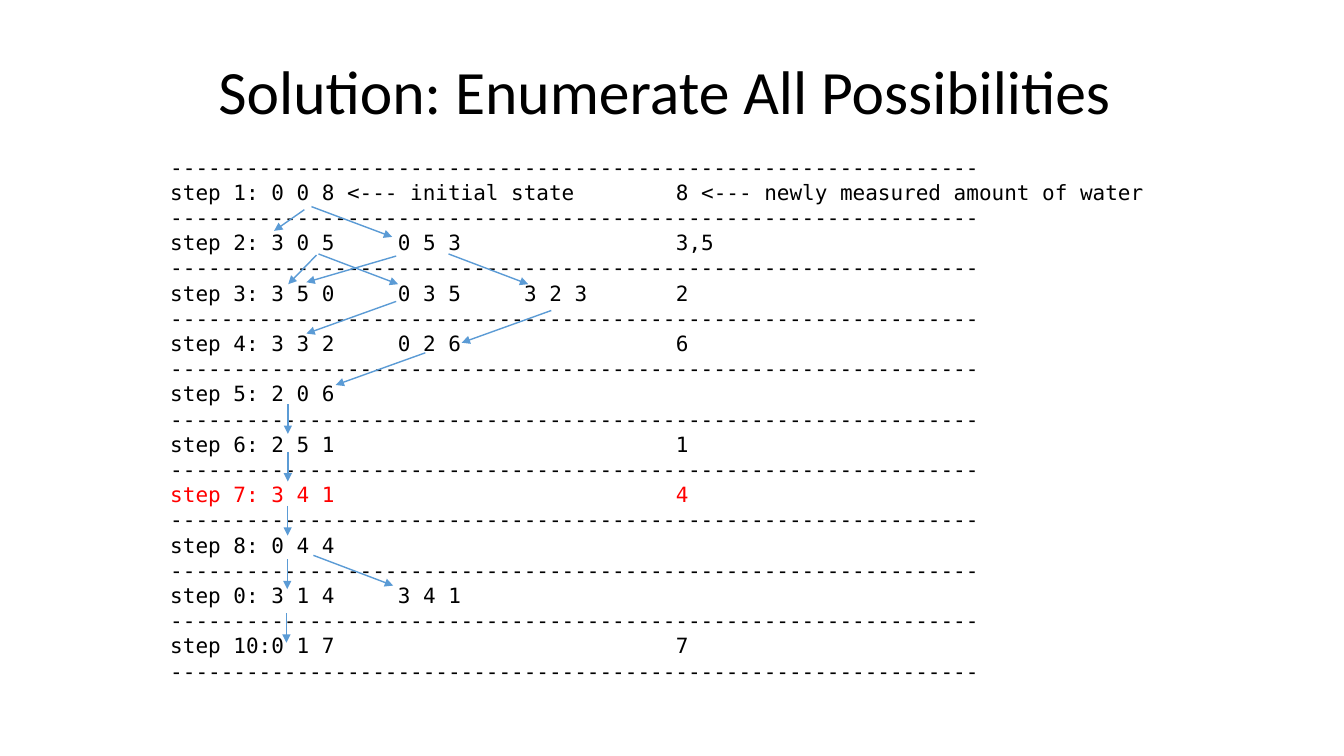
from lxml import etree
from pptx import Presentation
from pptx.dml.color import RGBColor
from pptx.enum.shapes import MSO_CONNECTOR
from pptx.enum.text import MSO_ANCHOR, PP_ALIGN
from pptx.oxml.ns import qn
from pptx.util import Pt

STRAIGHT = MSO_CONNECTOR.STRAIGHT
MIDDLE = MSO_ANCHOR.MIDDLE
CENTER = PP_ALIGN.CENTER
BLACK = RGBColor(0x00, 0x00, 0x00)
RED = RGBColor(0xFF, 0x00, 0x00)
BLUE = RGBColor(0x5B, 0x9B, 0xD5)

RULE = "-" * 64
CHAR_WIDTH = 9.03
TAB_COLUMNS = (18, 28, 40)
SOLVED = "step 7"
STEPS = [
    "step 1: 0 0 8 <--- initial state\t8 <--- newly measured amount of water",
    "step 2: 3 0 5\t0 5 3\t\t3,5",
    "step 3: 3 5 0\t0 3 5\t3 2 3\t2",
    "step 4: 3 3 2\t0 2 6\t\t6",
    "step 5: 2 0 6",
    "step 6: 2 5 1\t\t\t1",
    "step 7: 3 4 1\t\t\t4",
    "step 8: 0 4 4",
    "step 0: 3 1 4\t3 4 1",
    "step 10:0 1 7\t\t\t7",
]
ARROWS = [
    (226.1, 182.2, 205.9, 203),
    (227.5, 181.4, 284.4, 203),
    (320.4, 181.4, 377.3, 203),
    (283, 182.9, 218.9, 201.6),
    (283, 215.3, 218.9, 238.3),
    (393.8, 221.8, 329.8, 244.8),
    (303.8, 252, 239.8, 275),
    (222.5, 147.6, 280.1, 169.2),
    (217.4, 149.8, 195.8, 164.9),
    (223.9, 396.7, 280.8, 418.3),
]
DOWN_LENGTH = 21.2
DOWN_ARROWS = [(205.6, 288.7), (205.6, 322.8), (205.5, 361.4), (205.2, 399.6), (204.6, 437.9)]
ARROWS += [(x, y, x, y + DOWN_LENGTH) for x, y in DOWN_ARROWS]


def add_text_box(s, left, top, width, height):
    tf = s.shapes.add_textbox(Pt(left), Pt(top), Pt(width), Pt(height)).text_frame
    tf.word_wrap = True
    tf.margin_left = tf.margin_right = tf.margin_top = tf.margin_bottom = Pt(3.6)
    return tf


def add_run(p, text, font, size, color):
    r = p.add_run()
    r.text = text
    r.font.name = font
    r.font.size = Pt(size)
    r.font.color.rgb = color


prs = Presentation()
prs.slide_width, prs.slide_height = Pt(960), Pt(540)
s = prs.slides.add_slide(prs.slide_layouts[6])

tf = add_text_box(s, 118, 106.5, 713, 385)
lines = [RULE]
for step in STEPS:
    lines += [step, RULE]
for i, line in enumerate(lines):
    p = tf.add_paragraph() if i else tf.paragraphs[0]
    add_run(p, line, "DejaVu Sans Mono", 15, RED if line.startswith(SOLVED) else BLACK)
    if "\t" in line:
        tabs = etree.SubElement(p._p.get_or_add_pPr(), qn("a:tabLst"))
        for column in TAB_COLUMNS:
            position = str(Pt(column * CHAR_WIDTH))
            etree.SubElement(tabs, qn("a:tab"), pos=position, algn="l")

tf = add_text_box(s, 66, 28.8, 828, 77)
tf.vertical_anchor = MIDDLE
p = tf.paragraphs[0]
p.alignment = CENTER
p.line_spacing = 0.9
add_run(p, "Solution: Enumerate All Possibilities ", "Calibri", 44, BLACK)

for points in ARROWS:
    arrow = s.shapes.add_connector(STRAIGHT, *[Pt(v) for v in points])
    arrow.line.color.rgb = BLUE
    arrow.line.width = Pt(1)
    etree.SubElement(arrow.line._get_or_add_ln(), qn("a:tailEnd"), type="triangle")
    etree.SubElement(arrow._element.spPr, qn("a:effectLst"))

prs.save("out.pptx")
